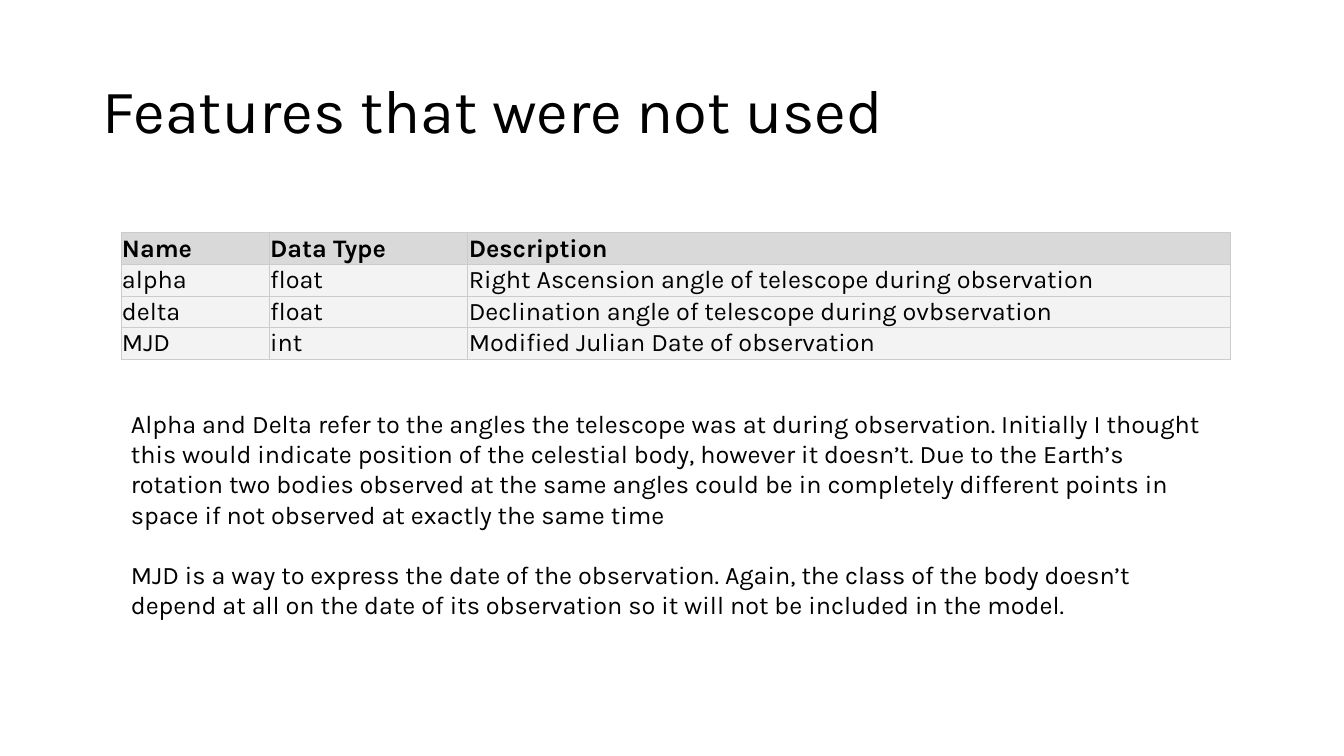
from lxml import etree
from pptx import Presentation
from pptx import util as u
from pptx.dml.color import RGBColor
from pptx.enum import text
from pptx.oxml.ns import qn

BLACK = RGBColor(0x00, 0x00, 0x00)
HEADER_FILL = RGBColor(0xD9, 0xD9, 0xD9)
ROW_FILL = RGBColor(0xF3, 0xF3, 0xF3)
BORDER = RGBColor(0xCC, 0xCC, 0xCC)

LEFT, WIDTH = u.Inches(1.2), u.Inches(11)
ROW_HEIGHT = u.Inches(0.31)
COLUMN_WIDTHS = [1.47, 1.97, 7.56]
FEATURES = [
    ("Name", "Data Type", "Description"),
    ("alpha", "float", "Right Ascension angle of telescope during observation"),
    ("delta", "float", "Declination angle of telescope during ovbservation"),
    ("MJD", "int", "Modified Julian Date of observation"),
]
REASONS = [
    "Alpha and Delta refer to the angles the telescope was at during observation. "
    "Initially I thought this would indicate position of the celestial body, however "
    "it doesn’t. Due to the Earth’s rotation two bodies observed at the same angles "
    "could be in completely different points in space if not observed at exactly the "
    "same time",
    "MJD is a way to express the date of the observation. Again, the class of the body "
    "doesn’t depend at all on the date of its observation so it will not be included "
    "in the model.",
]


def style(p, size, bold=False):
    """Left-align a paragraph and format its runs."""
    p.alignment = text.PP_ALIGN.LEFT
    for r in p.runs:
        r.font.name = "Karla"
        r.font.size = u.Pt(size)
        r.font.bold = bold
        r.font.color.rgb = BLACK


def add_borders(cell):
    tc_pr = cell._tc.get_or_add_tcPr()
    for i, side in enumerate(("a:lnL", "a:lnR", "a:lnT", "a:lnB")):
        ln = etree.Element(qn(side), w=str(u.Pt(0.75)))
        fill = etree.SubElement(ln, qn("a:solidFill"))
        etree.SubElement(fill, qn("a:srgbClr"), val=str(BORDER))
        tc_pr.insert(i, ln)


prs = Presentation()
prs.slide_width, prs.slide_height = u.Inches(13.33), u.Inches(7.5)
s = prs.slides.add_slide(prs.slide_layouts.get_by_name("Title Only"))

# Title
title = s.shapes.title
title.left, title.top = u.Inches(0.92), u.Inches(0.4)
title.width, title.height = u.Inches(11.5), u.Inches(1.45)
tf = title.text_frame
tf.text = "Features that were not used"
tf.vertical_anchor = text.MSO_ANCHOR.MIDDLE
tf.paragraphs[0].line_spacing = 0.9
style(tf.paragraphs[0], 44)

# Feature table
table = s.shapes.add_table(len(FEATURES), len(COLUMN_WIDTHS), LEFT, u.Inches(2.31),
                           WIDTH, ROW_HEIGHT * len(FEATURES)).table
table.horz_banding = False
for column, width in zip(table.columns, COLUMN_WIDTHS):
    column.width = u.Inches(width)
for row, (table_row, feature) in enumerate(zip(table.rows, FEATURES)):
    table_row.height = ROW_HEIGHT
    for cell, value in zip(table_row.cells, feature):
        cell.text = value
        cell.vertical_anchor = text.MSO_ANCHOR.MIDDLE
        cell.margin_left = cell.margin_right = u.Inches(0.01)
        cell.margin_top = cell.margin_bottom = u.Inches(0.01)
        cell.fill.solid()
        cell.fill.fore_color.rgb = ROW_FILL if row else HEADER_FILL
        add_borders(cell)
        style(cell.text_frame.paragraphs[0], 18, bold=row == 0)

# Reasons for leaving the features out
tf = s.shapes.add_textbox(LEFT, u.Inches(4), WIDTH, u.Inches(2.22)).text_frame
tf.word_wrap = True
tf.auto_size = text.MSO_AUTO_SIZE.SHAPE_TO_FIT_TEXT
for i, reason in enumerate(REASONS):
    p = tf.add_paragraph() if i else tf.paragraphs[0]
    p.text = reason
    if i:
        p.space_before = u.Pt(21.5)
    style(p, 18)

prs.save("out.pptx")
